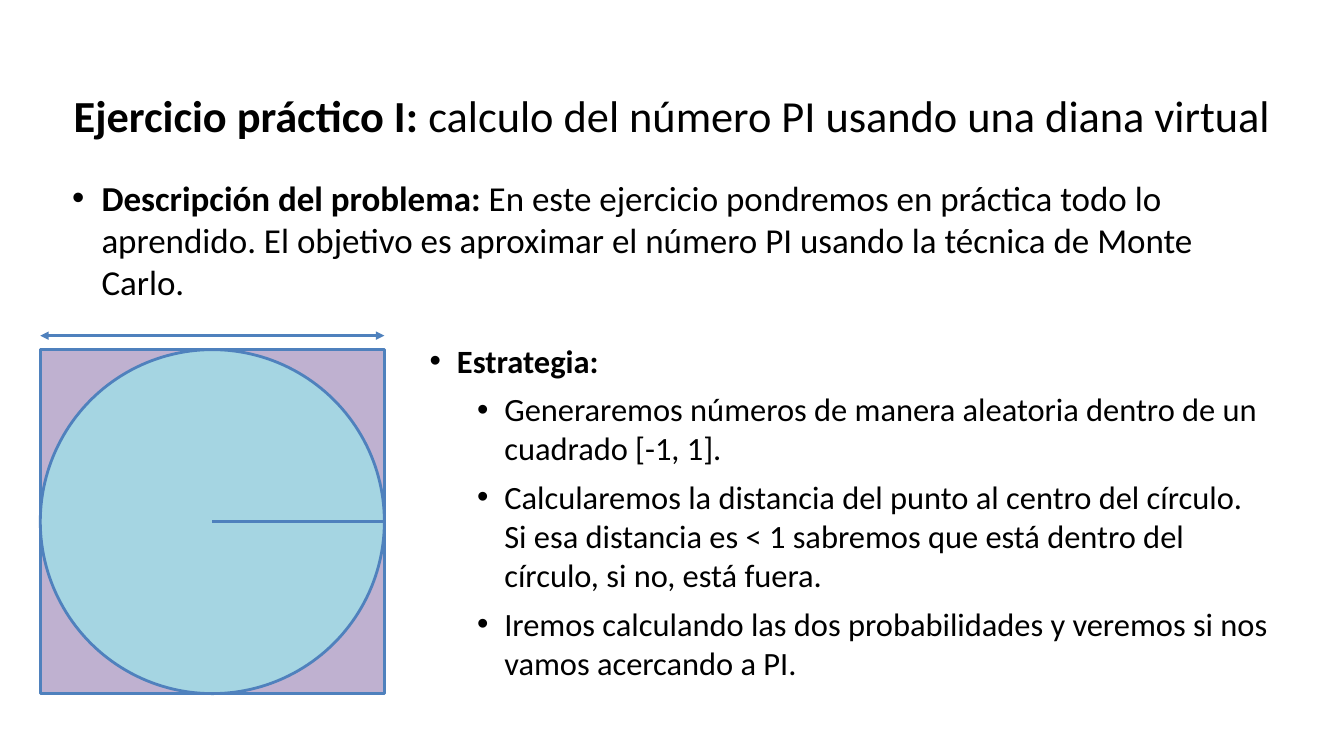
from dataclasses import dataclass

from lxml import etree
from pptx import Presentation
from pptx import util as u
from pptx.dml.color import RGBColor
from pptx.enum import shapes, text
from pptx.oxml.ns import qn

WIDTH, HEIGHT = u.Inches(13.33), u.Inches(7.5)
BLUE, BLACK = "4F81BD", "000000"


@dataclass
class Box:
    """Position and size in columns and rows, 20 of each on the slide."""
    left: float
    top: float
    width: float
    height: float


@dataclass
class Para:
    bold: str = ""
    plain: str = ""
    level: int = 0


@dataclass
class BulletList:
    box: Box
    size: float
    hanging: float
    paras: list[Para]


@dataclass
class Figure:
    kind: shapes.MSO_SHAPE
    fill: str


TITLE_BOX = Box(1, 1.84, 18, 2.4)
TARGET = Box(0.6, 9.25, 5.12, 9.1)
ARROW_ROW = 8.88
TITLE = Para("Ejercicio práctico I: ", "calculo del número PI usando una diana virtual")
LISTS = [
    BulletList(Box(1, 4.53, 18, 4.11), 25, 0.29, [
        Para("Descripción del problema:",
             " En este ejercicio pondremos en práctica todo lo aprendido. "
             "El objetivo es aproximar el número PI usando la técnica de Monte Carlo."),
    ]),
    BulletList(Box(6.32, 8.88, 12.69, 9.17), 23.2, 0.27, [
        Para("Estrategia:"),
        Para(plain="Generaremos números de manera aleatoria dentro de un cuadrado [-1, 1].",
             level=1),
        Para(plain="Calcularemos la distancia del punto al centro del círculo. Si esa "
                   "distancia es < 1 sabremos que está dentro del círculo, si no, está fuera.",
             level=1),
        Para(plain="Iremos calculando las dos probabilidades y veremos si nos vamos "
                   "acercando a PI.", level=1),
    ]),
]
FIGURES = [
    Figure(shapes.MSO_SHAPE.RECTANGLE, "BFB1D0"),
    Figure(shapes.MSO_SHAPE.OVAL, "A5D5E2"),
]


def color(value: str) -> RGBColor:
    return RGBColor.from_string(value)


def col(n: float) -> int:
    return round(WIDTH * n / 20)


def row(n: float) -> int:
    return round(HEIGHT * n / 20)


def place(sp, box: Box) -> None:
    sp.left, sp.top = col(box.left), row(box.top)
    sp.width, sp.height = col(box.width), row(box.height)


def prepare_frame(sp, box: Box, anchor: text.MSO_ANCHOR):
    place(sp, box)
    tf = sp.text_frame
    tf.word_wrap = True
    tf.auto_size = text.MSO_AUTO_SIZE.NONE
    tf.vertical_anchor = anchor
    tf.margin_left = tf.margin_right = tf.margin_top = tf.margin_bottom = u.Inches(0.05)
    return tf


def write(p, para: Para, size: float) -> None:
    for words, bold in ((para.bold, True), (para.plain, False)):
        if words:
            r = p.add_run()
            r.text = words
            r.font.name, r.font.size, r.font.bold = "Calibri", u.Pt(size), bold
            r.font.color.rgb = color(BLACK)


def add_bullet(p, margin: float, hanging: float) -> None:
    pPr = p._p.get_or_add_pPr()
    pPr.set("marL", str(u.Inches(margin)))
    pPr.set("indent", str(-u.Inches(hanging)))
    etree.SubElement(pPr, qn("a:buFont")).set("typeface", "Arial")
    etree.SubElement(pPr, qn("a:buChar")).set("char", "•")


def fill_list(sp, content: BulletList) -> None:
    tf = prepare_frame(sp, content.box, text.MSO_ANCHOR.TOP)
    for i, para in enumerate(content.paras):
        p = tf.add_paragraph() if i else tf.paragraphs[0]
        p.level = para.level
        add_bullet(p, content.hanging + 0.47 * para.level, content.hanging)
        p.space_before = u.Pt(7 if i else 0)
        write(p, para, content.size)


def add_figure(s, figure: Figure):
    sp = s.shapes.add_shape(figure.kind, 0, 0, 0, 0)
    place(sp, TARGET)
    sp.shadow.inherit = False
    sp.fill.solid()
    sp.fill.fore_color.rgb = color(figure.fill)
    sp.line.color.rgb, sp.line.width = color(BLUE), u.Pt(2)
    return sp


def add_line(s, x1: float, x2: float, y: float, arrows: bool = False):
    line = s.shapes.add_connector(shapes.MSO_CONNECTOR.STRAIGHT,
                                  col(x1), row(y), col(x2), row(y))
    line.line.color.rgb, line.line.width = color(BLUE), u.Pt(2)
    if arrows:
        for end in ("a:headEnd", "a:tailEnd"):
            etree.SubElement(line.line._get_or_add_ln(), qn(end)).set("type", "triangle")
    etree.SubElement(line._element.spPr, qn("a:effectLst"))
    return line


def main() -> None:
    prs = Presentation()
    prs.slide_width, prs.slide_height = WIDTH, HEIGHT
    s = prs.slides.add_slide(prs.slide_layouts.get_by_name("Two Content"))

    p = prepare_frame(s.shapes.title, TITLE_BOX, text.MSO_ANCHOR.MIDDLE).paragraphs[0]
    p.alignment = text.PP_ALIGN.CENTER
    write(p, TITLE, 31.7)
    for idx, content in enumerate(LISTS, start=1):
        fill_list(s.placeholders[idx], content)

    square, _ = [add_figure(s, figure) for figure in FIGURES]
    right = TARGET.left + TARGET.width
    radius = add_line(s, TARGET.left + TARGET.width / 2, right,
                      TARGET.top + TARGET.height / 2)
    radius.end_connect(square, 3)
    add_line(s, TARGET.left, right, ARROW_ROW, arrows=True)
    prs.save("out.pptx")


if __name__ == "__main__":
    main()
